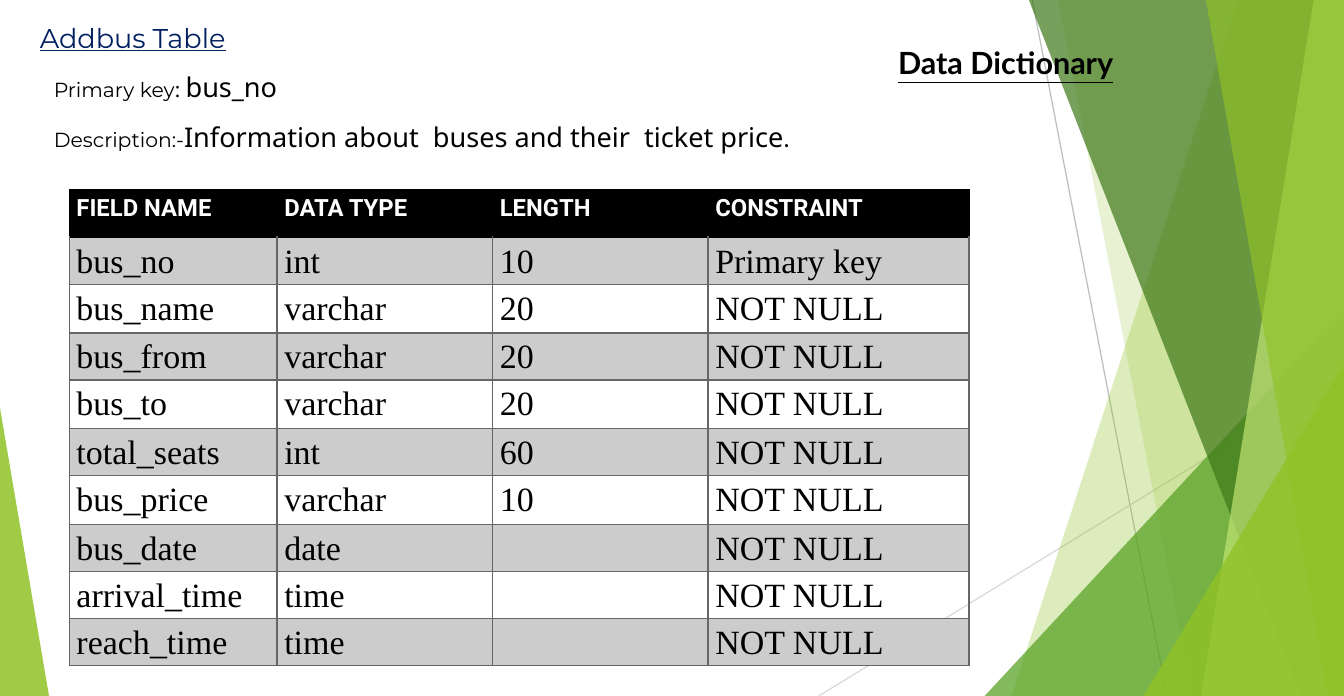
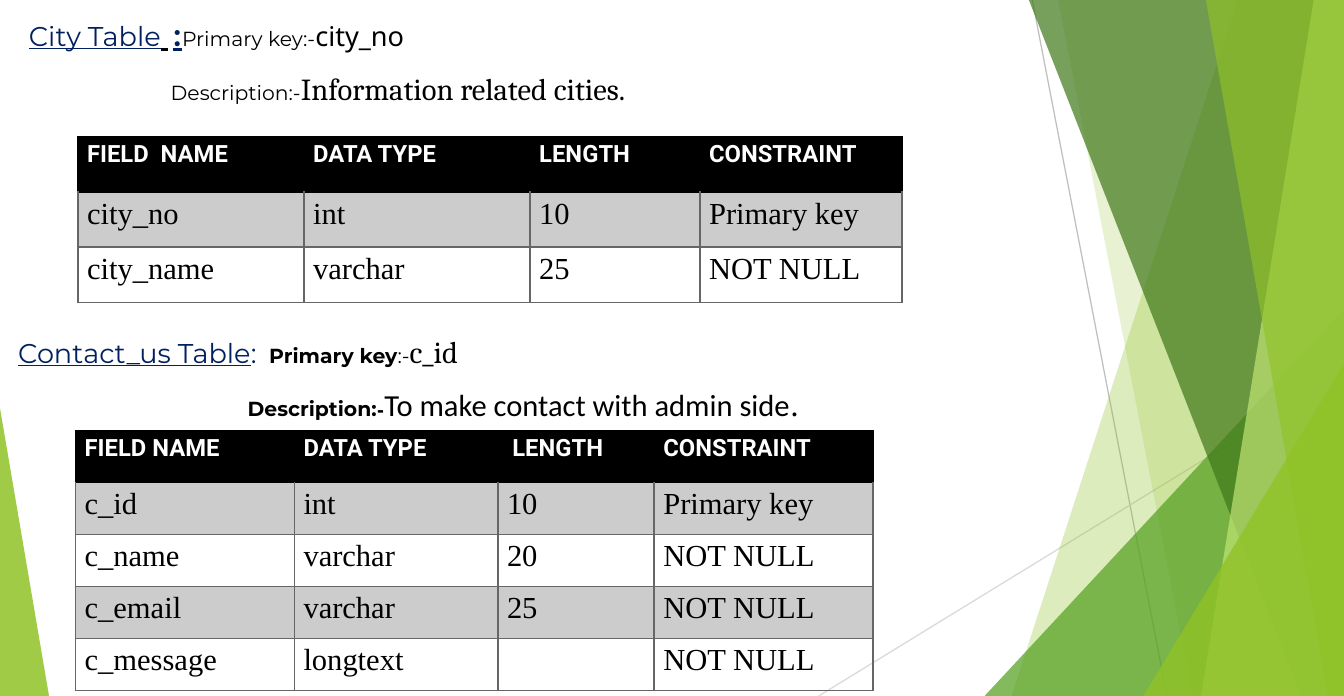
from dataclasses import dataclass

from lxml.etree import SubElement
from pptx import Presentation
from pptx.dml.color import RGBColor
from pptx.enum.shapes import MSO_CONNECTOR, MSO_SHAPE
from pptx.oxml.ns import qn
from pptx.util import Cm, Pt

BLACK = RGBColor(0x00, 0x00, 0x00)
WHITE = RGBColor(0xFF, 0xFF, 0xFF)
NAVY = RGBColor(0x00, 0x20, 0x60)
BAND = RGBColor(0xCC, 0xCC, 0xCC)
GRID = RGBColor(0x66, 0x66, 0x66)
LINE_DARK = RGBColor(0xBF, 0xBF, 0xBF)
LINE_LIGHT = RGBColor(0xD9, 0xD9, 0xD9)
LIME = RGBColor(0x90, 0xC2, 0x26)
PALE_LIME = RGBColor(0xC0, 0xE4, 0x74)
GREEN = RGBColor(0x54, 0xA0, 0x21)
DARK_GREEN = RGBColor(0x3F, 0x78, 0x19)

WIDTH, HEIGHT = 27.94, 14.47  # centimetres

HEADINGS = ["FIELD NAME", "DATA TYPE", "LENGTH", "CONSTRAINT"]


@dataclass
class Run:
    """Text of one style; spread is extra letter spacing in points."""
    text: str
    size: int
    font: str
    color: RGBColor = BLACK
    bold: bool = False
    underline: bool = False
    spread: float = 0


@dataclass
class Line:
    """One paragraph; indent is in centimetres."""
    runs: list
    indent: float = 0
    spacing: float = 1.0


def style_font(font, style):
    font.name = style.font
    font.size = Pt(style.size)
    font.bold = style.bold
    font.underline = style.underline
    font.color.rgb = style.color


def paint(shape, color, opacity):
    """Fill a shape with a see-through colour and no outline."""
    shape.shadow.inherit = False
    shape.line.fill.background()
    shape.fill.solid()
    shape.fill.fore_color.rgb = color
    color_element = shape._element.spPr.find(qn("a:solidFill"))[0]
    SubElement(color_element, qn("a:alpha"), val=str(opacity * 1000))


def add_thin_line(shapes, start, end, color):
    points = [Cm(value) for value in (*start, *end)]
    connector = shapes.add_connector(MSO_CONNECTOR.STRAIGHT, *points)
    connector.line.color.rgb = color
    connector.line.width = Pt(0.75)
    SubElement(connector._element.spPr, qn("a:effectLst"))


def add_facet(shapes, top_x, bottom_x, color, opacity):
    """Full-height facet from a slanted left edge to the slide's right edge."""
    builder = shapes.build_freeform(Cm(top_x), 0)
    corners = [(WIDTH, 0), (WIDTH, HEIGHT), (bottom_x, HEIGHT)]
    builder.add_line_segments([(Cm(x), Cm(y)) for x, y in corners])
    paint(builder.convert_to_shape(), color, opacity)


def add_corner(shapes, left, top, width, peak, color, opacity):
    """Triangle standing on the bottom edge; peak is 0 at left, 1 at right."""
    triangle = shapes.add_shape(MSO_SHAPE.ISOSCELES_TRIANGLE, Cm(left), Cm(top),
                                Cm(width), Cm(HEIGHT - top))
    triangle.adjustments[0] = peak
    paint(triangle, color, opacity)


def add_backdrop(slide):
    shapes = slide.shapes.add_group_shape().shapes
    add_thin_line(shapes, (21.46, 0), (24.26, HEIGHT), LINE_DARK)
    add_thin_line(shapes, (WIDTH, 7.77), (17.02, HEIGHT), LINE_LIGHT)
    add_facet(shapes, 25.73, 21.03, LIME, 30)
    add_facet(shapes, 22, 24.79, LIME, 20)
    add_corner(shapes, 20.47, 6.43, 7.47, 1, GREEN, 72)
    add_facet(shapes, 21.39, 27.05, DARK_GREEN, 70)
    add_facet(shapes, 27.31, 24.97, PALE_LIME, 70)
    add_facet(shapes, 25.07, 27.61, LIME, 65)
    add_corner(shapes, 23.77, 7.57, 4.17, 1, LIME, 80)
    add_corner(shapes, 0, 8.48, 1.02, 0, LIME, 85)


def add_text(slide, left, top, width, height, lines):
    box = slide.shapes.add_textbox(Cm(left), Cm(top), Cm(width), Cm(height))
    frame = box.text_frame
    frame.word_wrap = True
    for index, line in enumerate(lines):
        paragraph = frame.add_paragraph() if index else frame.paragraphs[0]
        paragraph.line_spacing = line.spacing
        paragraph.space_after = Pt(10)
        properties = paragraph._p.get_or_add_pPr()
        properties.set("marL", str(Cm(line.indent)))
        properties.set("indent", "0")
        for style in line.runs:
            run = paragraph.add_run()
            run.text = style.text
            style_font(run.font, style)
            if style.spread:
                run._r.get_or_add_rPr().set("spc", str(int(style.spread * 100)))


def set_borders(cell, top_color, color):
    properties = cell._tc.get_or_add_tcPr()
    for side in ("lnL", "lnR", "lnT", "lnB"):
        border = SubElement(properties, qn(f"a:{side}"), w=str(Pt(1)))
        fill = SubElement(border, qn("a:solidFill"))
        side_color = top_color if side == "lnT" else color
        SubElement(fill, qn("a:srgbClr"), val=str(side_color))


def fill_cell(cell, text, row, size, margin):
    """Write a cell: black header, then grey bands on odd rows."""
    cell.margin_left = cell.margin_right = Cm(margin)
    cell.margin_top = cell.margin_bottom = 0
    set_borders(cell, BLACK if row < 2 else GRID, GRID if row else BLACK)
    if row and row % 2 == 0:
        cell.fill.background()
    else:
        cell.fill.solid()
        cell.fill.fore_color.rgb = BAND if row else BLACK
    cell.text = text
    paragraph = cell.text_frame.paragraphs[0]
    paragraph.line_spacing = 1.15
    if row:
        style_font(paragraph.font, Run(text, size, "Times New Roman"))
    else:
        style_font(paragraph.font, Run(text, 14, "Roboto", WHITE, bold=True))


def add_field_table(slide, left, top, widths, heights, rows, size, margin):
    frame = slide.shapes.add_table(len(rows), len(widths), Cm(left), Cm(top),
                                   Cm(sum(widths)), Cm(sum(heights)))
    table = frame.table
    table.horz_banding = False
    for column, width in zip(table.columns, widths):
        column.width = Cm(width)
    for row, height in zip(table.rows, heights):
        row.height = Cm(height)
    for row, texts in enumerate(rows):
        for column, text in enumerate(texts):
            fill_cell(table.cell(row, column), text, row, size, margin)
    return table


def add_slide(presentation):
    slide = presentation.slides.add_slide(presentation.slide_layouts[6])
    add_backdrop(slide)
    return slide


def build_bus_slide(presentation):
    slide = add_slide(presentation)
    add_text(slide, 18.42, 0.79, 6.02, 1.02, [
        Line([Run("Data Dictionary", 18, "Lato", bold=True, underline=True)]),
    ])
    add_text(slide, 0.43, 0.31, 20.98, 3.02, [
        Line([Run("Addbus Table", 16, "Montserrat", NAVY, underline=True)], indent=0.15),
        Line([Run("Primary key", 12, "Montserrat"),
              Run(": ", 12, "Noto Sans"),
              Run("bus_no", 16, "Noto Sans")], indent=0.44),
        Line([Run("Description:-", 12, "Montserrat"),
              Run("Information about  buses and their  ticket price", 16, "Noto Sans"),
              Run(".", 16, "Cambria")], indent=0.44),
    ])
    rows = [
        HEADINGS,
        ["bus_no", "int", "10", "Primary key"],
        ["bus_name", "varchar", "20", "NOT NULL"],
        ["bus_from", "varchar", "20", "NOT NULL"],
        ["bus_to", "varchar", "20", "NOT NULL"],
        ["total_seats", "int", "60", "NOT NULL"],
        ["bus_price", "varchar", "10", "NOT NULL"],
        ["bus_date", "date", "", "NOT NULL"],
        ["arrival_time", "time", "", "NOT NULL"],
        ["reach_time", "time", "", "NOT NULL"],
    ]
    heights = [1.01 if row in (2, 4, 6) else 0.98 for row in range(len(rows))]
    add_field_table(slide, 1.44, 3.95, [4.32, 4.48, 4.48, 5.42], heights, rows,
                    size=20, margin=0.15)


def build_city_and_contact_slide(presentation):
    slide = add_slide(presentation)
    add_text(slide, 0.2, 0, 20.75, 2.36, [
        Line([Run("City Table", 16, "Montserrat", NAVY, underline=True),
              Run(" ", 20, "Calibri", bold=True, underline=True, spread=2.5),
              Run(":", 20, "Calibri", NAVY, bold=True, underline=True),
              Run("Primary key:-", 12, "Montserrat"),
              Run("city_no", 16, "Noto Sans")], indent=0.15, spacing=1.15),
        Line([Run("Description:-", 12, "Montserrat"),
              Run("Information related cities.", 18, "Cambria")], indent=3.1),
    ])
    add_text(slide, 0.13, 6.79, 20.75, 2.16, [
        Line([Run("Contact_us Table", 16, "Montserrat", NAVY, underline=True),
              Run(":", 16, "Montserrat", NAVY),
              Run(" ", 11, "Calibri", spread=5),
              Run("Primary key", 12, "Montserrat", bold=True),
              Run(":-", 12, "Montserrat"),
              Run("c_id", 18, "Cambria")]),
        Line([Run("Description:", 12, "Montserrat", bold=True),
              Run("-", 12, "League Spartan", bold=True),
              Run("To make contact with admin side", 18, "Calibri"),
              Run(".", 18, "League Spartan")], indent=4.77),
    ])
    city_rows = [
        ["FIELD  NAME", *HEADINGS[1:]],
        ["city_no", "int", "10", "Primary key"],
        ["city_name", "varchar", "25", "NOT NULL"],
    ]
    add_field_table(slide, 1.62, 2.84, [4.7, 4.7, 3.53, 4.2], [1.15] * len(city_rows),
                    city_rows, size=18, margin=0.19)
    contact_rows = [
        HEADINGS,
        ["c_id", "int", "10", "Primary key"],
        ["c_name", "varchar", "20", "NOT NULL"],
        ["c_email", "varchar", "25", "NOT NULL"],
        ["c_message", "longtext", "", "NOT NULL"],
    ]
    contact_table = add_field_table(slide, 1.57, 8.95, [4.55, 4.23, 3.25, 4.55],
                                    [1.08] * len(contact_rows), contact_rows,
                                    size=18, margin=0.19)
    contact_table.cell(0, 2).margin_left = Cm(0.3)


def main():
    presentation = Presentation()
    presentation.slide_width = Cm(WIDTH)
    presentation.slide_height = Cm(HEIGHT)
    build_bus_slide(presentation)
    build_city_and_contact_slide(presentation)
    presentation.save("out.pptx")


if __name__ == "__main__":
    main()
